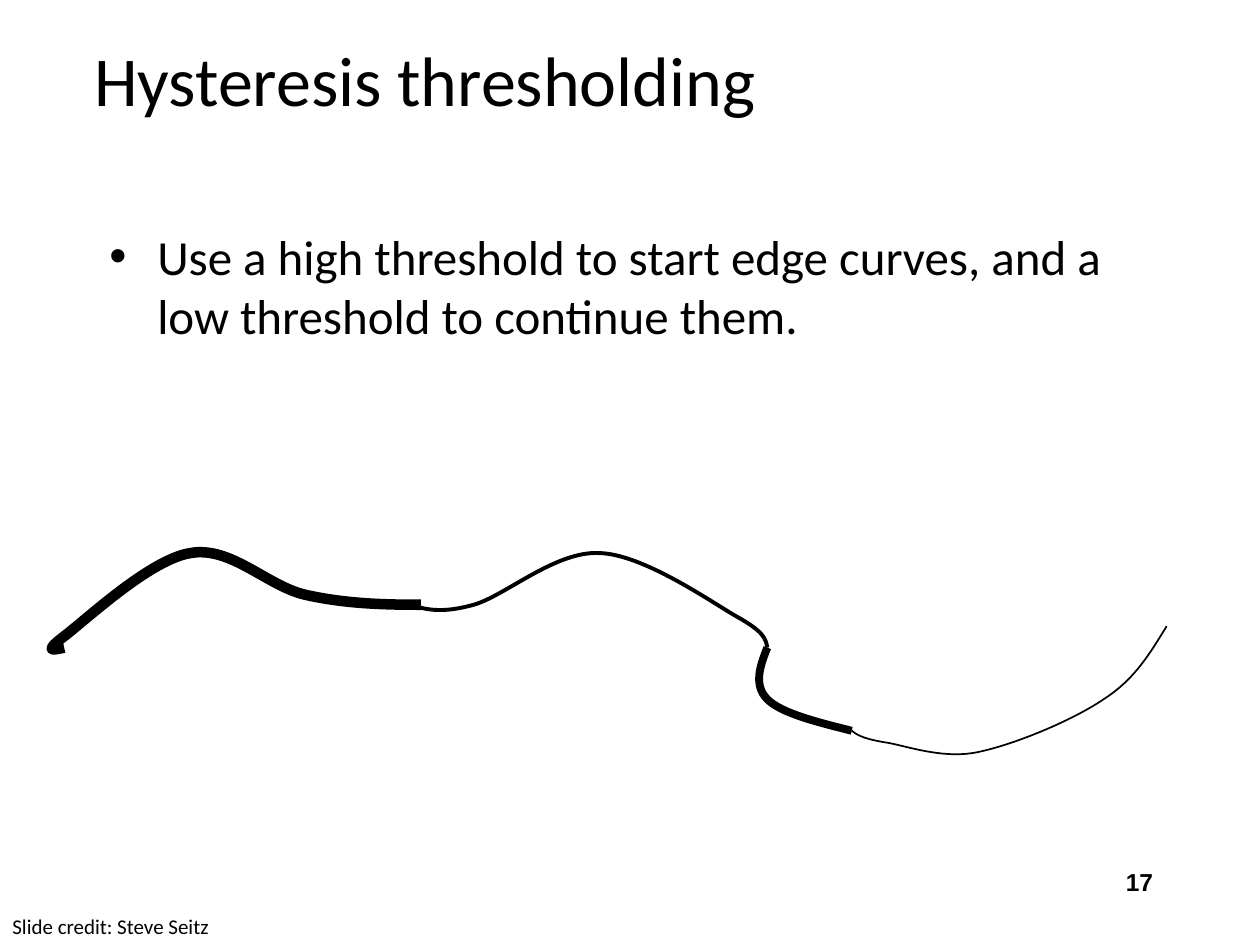
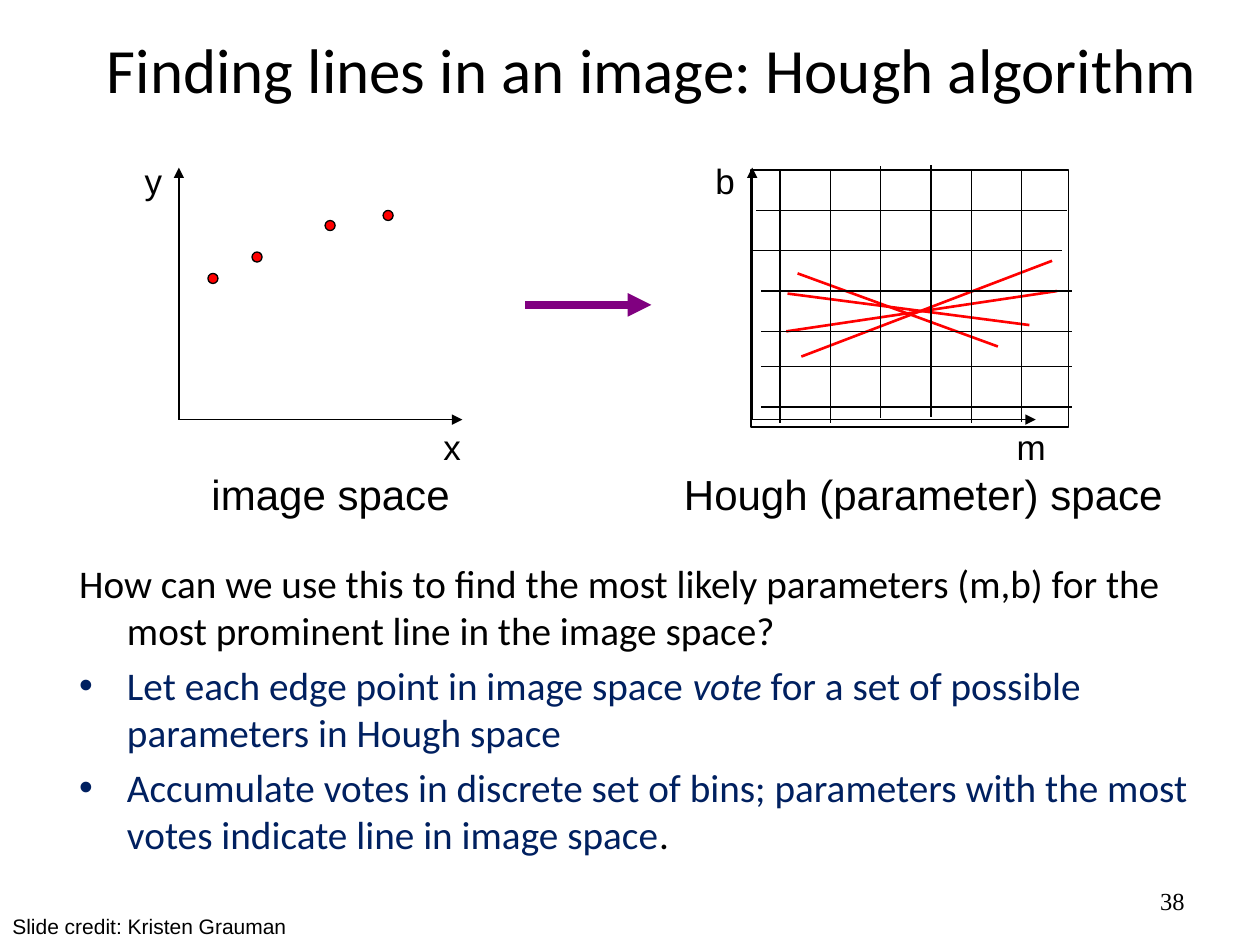
import pptx
import pptx.dml.color
import pptx.enum.shapes
import pptx.enum.text
import pptx.oxml
import pptx.oxml.ns
import pptx.util

# All lengths are inches; sizes and line widths are points.
SLIDE_SIZE = (10, 7.5)
COLOURS = {
    "ink": "000000", "paper": "FFFFFF", "answer": "002060",
    "vote": "FF0000", "arrow": "800080",
}
INDENT = 0.38

HYSTERESIS = {
    "title": ("Hysteresis thresholding", 40, (0.65, 0, 8.5, 1.25)),
    "body_box": (0.77, 1.75, 8.5, 4.5),
    "body_size": 28,
    "body": [
        (True, [("Use a high threshold to start edge curves, and a low threshold "
                 "to continue them.", "ink", False)]),
    ],
    "number": ("17", "Arial", True, "top", (7.17, 6.83, 2.08, 0.5)),
    "credit": ("Slide credit: Steve Seitz", "Calibri", "paper", (0, 7.2, 2.17, 0.3)),
}

# Each edge: line width, start point, then cubic segments (two handles and an end).
EDGES = [
    (6, (0.51, 5.14), [
        ((0.42, 5.16), (0.34, 5.18), (0.51, 5.05)),
        ((0.67, 4.93), (1.19, 4.44), (1.51, 4.39)),
        ((1.83, 4.33), (2.12, 4.65), (2.42, 4.72)),
        ((2.73, 4.79), (3.03, 4.8), (3.34, 4.8))]),
    (2.25, (3.26, 4.8), [
        ((3.38, 4.84), (3.51, 4.87), (3.76, 4.8)),
        ((4.01, 4.73), (4.41, 4.37), (4.76, 4.39)),
        ((5.1, 4.4), (5.62, 4.76), (5.84, 4.89)),
        ((6.06, 5.01), (6.08, 5.07), (6.09, 5.14))]),
    (4.5, (6.09, 5.14), [
        ((6.03, 5.29), (5.98, 5.44), (6.09, 5.55)),
        ((6.2, 5.66), (6.48, 5.73), (6.76, 5.8))]),
    (1, (6.76, 5.8), [
        ((6.8, 5.83), (6.84, 5.86), (7.01, 5.89)),
        ((7.17, 5.91), (7.47, 6.03), (7.76, 5.97)),
        ((8.05, 5.91), (8.51, 5.72), (8.76, 5.55)),
        ((9.01, 5.39), (9.13, 5.18), (9.26, 4.97))]),
]

HOUGH = {
    "title": ("Finding lines in an image: Hough algorithm", 36, (0.75, 0.08, 9.25, 0.92)),
    "body_box": (0.53, 4.39, 9.14, 2.08),
    "body_size": 22.4,
    "body": [
        (False, [("How can we use this to find the most likely parameters (m,b) for "
                  "the most prominent line in the image space?", "ink", False)]),
        (True, [("Let each edge point in image space ", "answer", False),
                ("vote ", "answer", True),
                ("for a set of possible parameters in Hough space", "answer", False)]),
        (True, [("Accumulate votes in discrete set of bins; parameters with the most "
                 "votes indicate line in image space", "answer", False),
                (".", "ink", False)]),
    ],
    "number": ("38", "Times New Roman", False, "middle", (7.17, 6.95, 2.33, 0.4)),
    "credit": ("Slide credit: Kristen Grauman", "Arial", None, (0, 7.2, 6.5, 0.3)),
}

# Each plot: origin x, (across label, width), (up label, width), caption and its box.
AXIS_BASE, AXIS_ACROSS, AXIS_UP = 3.33, 2.25, 2
PLOTS = [
    (1.42, ("x", 0.34), ("y", 0.34), "image space", (1.58, 3.67, 2.09, 0.5)),
    (5.97, ("m", 0.43), ("b", 0.36), "Hough (parameter) space", (5.33, 3.67, 4.04, 0.51)),
]
POINT_SIZE = 0.08
EDGE_POINTS = [(1.65, 2.17), (2, 2), (2.58, 1.75), (3.04, 1.67)]
VOTE_LINES = [
    ((6.33, 2.17), (7.92, 2.75)), ((6.25, 2.33), (8.17, 2.58)),
    ((6.36, 2.83), (8.35, 2.07)), ((6.24, 2.63), (8.39, 2.31)),
]
BIN_FRAME = (5.96, 1.35, 2.52, 2.04)
BIN_ROW_LENGTH, BIN_COLUMN_LENGTH = 2.47, 2
BIN_ROW_STARTS = [(6, 1.67), (5.96, 1.99), (6.04, 2.31),
                  (6.04, 2.63), (6.04, 2.91), (6.04, 3.23)]
BIN_COLUMN_STARTS = [(6.19, 1.36), (6.59, 1.36), (6.99, 1.32),
                     (7.39, 1.31), (7.71, 1.36), (8.11, 1.35)]

ANCHORS = {
    "top": pptx.enum.text.MSO_ANCHOR.TOP,
    "middle": pptx.enum.text.MSO_ANCHOR.MIDDLE,
}
PRESETS = pptx.enum.shapes.MSO_SHAPE


def inches(lengths):
    return [pptx.util.Inches(length) for length in lengths]


def colour(name):
    return pptx.dml.color.RGBColor.from_string(COLOURS[name])


def add_element(parent, tag, **attributes):
    element = pptx.oxml.parse_xml(f"<a:{tag} {pptx.oxml.ns.nsdecls('a')}/>")
    for name, value in attributes.items():
        element.set(name, value)
    parent.append(element)
    return element


def add_run(paragraph, text, size, font="Calibri", colour_name="ink",
            bold=False, italic=False):
    run = paragraph.add_run()
    run.text = text
    run.font.name = font
    run.font.size = pptx.util.Pt(size)
    run.font.bold = bold
    run.font.italic = italic
    run.font.color.rgb = colour(colour_name)


def fill_text(shape, text, size, font="Calibri", anchor="top", wrap=True,
              grow=False, bold=False, align="LEFT"):
    frame = shape.text_frame
    frame.word_wrap = wrap
    if grow:
        frame.auto_size = pptx.enum.text.MSO_AUTO_SIZE.SHAPE_TO_FIT_TEXT
    frame.vertical_anchor = ANCHORS[anchor]
    paragraph = frame.paragraphs[0]
    paragraph.alignment = pptx.enum.text.PP_ALIGN[align]
    add_run(paragraph, text, size, font, bold=bold)


def add_text(slide, box, *text, **style):
    fill_text(slide.shapes.add_textbox(*inches(box)), *text, **style)


def add_body(slide, box, size, paragraphs):
    frame = slide.shapes.add_textbox(*inches(box)).text_frame
    frame.word_wrap = True
    for index, (bulleted, runs) in enumerate(paragraphs):
        paragraph = frame.add_paragraph() if index else frame.paragraphs[0]
        properties = paragraph._p.get_or_add_pPr()
        properties.set("marL", str(pptx.util.Inches(INDENT)))
        properties.set("indent", str(-pptx.util.Inches(INDENT)))
        if bulleted:
            add_element(properties, "buFont", typeface="Arial")
            add_element(properties, "buChar", char="•")
        if index:
            paragraph.space_before = pptx.util.Pt(0.2 * size)
        for text, colour_name, italic in runs:
            add_run(paragraph, text, size, colour_name=colour_name, italic=italic)


def style_shape(shape, width=None, fill=None):
    shape.shadow.inherit = False
    if width:
        shape.line.color.rgb = colour("ink")
        shape.line.width = pptx.util.Pt(width)
    else:
        shape.line.fill.background()
    if fill:
        shape.fill.solid()
        shape.fill.fore_color.rgb = colour(fill)
    else:
        shape.fill.background()


def add_line(shapes, start, end, width, colour_name="ink", arrow=False):
    connector = shapes.add_connector(
        pptx.enum.shapes.MSO_CONNECTOR.STRAIGHT, *inches(start + end))
    connector.line.color.rgb = colour(colour_name)
    connector.line.width = pptx.util.Pt(width)
    properties = connector.element.spPr
    if arrow:
        add_element(properties.find(pptx.oxml.ns.qn("a:ln")), "tailEnd", type="triangle")
    add_element(properties, "effectLst")


def add_curve(slide, width, start, segments):
    """Draw a freeform through handles and ends, then join each three as a cubic."""
    builder = slide.shapes.build_freeform(*inches(start))
    builder.add_line_segments(
        [inches(point) for segment in segments for point in segment], close=False)
    shape = builder.convert_to_shape()
    outline = next(shape.element.iter(pptx.oxml.ns.qn("a:path")))
    steps = outline.findall(pptx.oxml.ns.qn("a:lnTo"))
    for first in range(0, len(steps), 3):
        cubic = add_element(outline, "cubicBezTo")
        for step in steps[first:first + 3]:
            cubic.append(step[0])
            outline.remove(step)
    style_shape(shape, width)


def add_plot(slide, left, across, up, caption, caption_box):
    origin = (left, AXIS_BASE)
    top = AXIS_BASE - AXIS_UP
    add_line(slide.shapes, origin, (left, top), 1, arrow=True)
    add_line(slide.shapes, origin, (left + AXIS_ACROSS, AXIS_BASE), 1, arrow=True)
    for (label, width), label_left, label_top in (
            (across, left + 2, AXIS_BASE), (up, left - up[1] - 0.03, top - 0.11)):
        add_text(slide, (label_left, label_top, width, 0.43), label, 20, "Arial",
                 wrap=False, grow=True)
    add_text(slide, caption_box, caption, 24, "Arial", wrap=False, grow=True)


def add_bins(slide):
    shapes = slide.shapes.add_group_shape().shapes
    style_shape(shapes.add_shape(PRESETS.RECTANGLE, *inches(BIN_FRAME)), 0.75)
    for x, y in BIN_ROW_STARTS:
        add_line(shapes, (x, y), (x + BIN_ROW_LENGTH, y), 0.75)
    for x, y in BIN_COLUMN_STARTS:
        add_line(shapes, (x, y), (x, y + BIN_COLUMN_LENGTH), 0.75)


def add_slide(presentation, content):
    """Add a blank slide with the title and body text."""
    slide = presentation.slides.add_slide(presentation.slide_layouts[6])
    slide.background.fill.solid()
    slide.background.fill.fore_color.rgb = colour("paper")
    title, size, box = content["title"]
    add_text(slide, box, title, size, anchor="middle")
    add_body(slide, content["body_box"], content["body_size"], content["body"])
    return slide


def add_footer(slide, content):
    number, font, bold, anchor, box = content["number"]
    add_text(slide, box, number, 14, font, anchor, bold=bold, align="RIGHT")
    credit, font, fill, box = content["credit"]
    if fill:
        plate = slide.shapes.add_shape(PRESETS.RECTANGLE, *inches(box))
        style_shape(plate, fill=fill)
    else:
        plate = slide.shapes.add_textbox(*inches(box))
    fill_text(plate, credit, 12, font, grow=True)


def main():
    presentation = pptx.Presentation()
    presentation.slide_width, presentation.slide_height = inches(SLIDE_SIZE)

    slide = add_slide(presentation, HYSTERESIS)
    for edge in EDGES:
        add_curve(slide, *edge)
    add_footer(slide, HYSTERESIS)

    slide = add_slide(presentation, HOUGH)
    for plot in PLOTS:
        add_plot(slide, *plot)
    add_line(slide.shapes, (4.17, 2.42), (5.17, 2.42), 4.5, "arrow", arrow=True)
    for point in EDGE_POINTS:
        dot = slide.shapes.add_shape(PRESETS.OVAL, *inches(point + (POINT_SIZE, POINT_SIZE)))
        style_shape(dot, 0.75, "vote")
    for start, end in VOTE_LINES:
        add_line(slide.shapes, start, end, 1.5, "vote")
    add_bins(slide)
    add_footer(slide, HOUGH)

    presentation.save("out.pptx")


if __name__ == "__main__":
    main()
